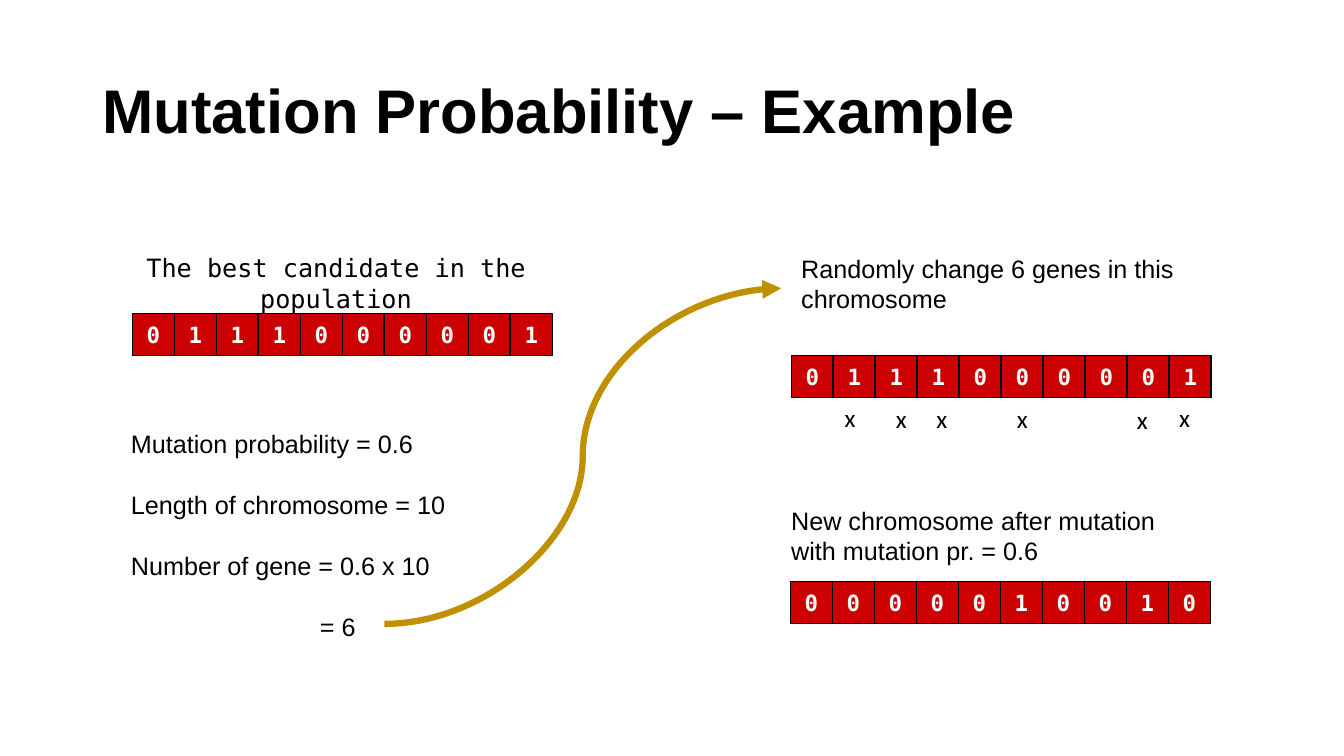
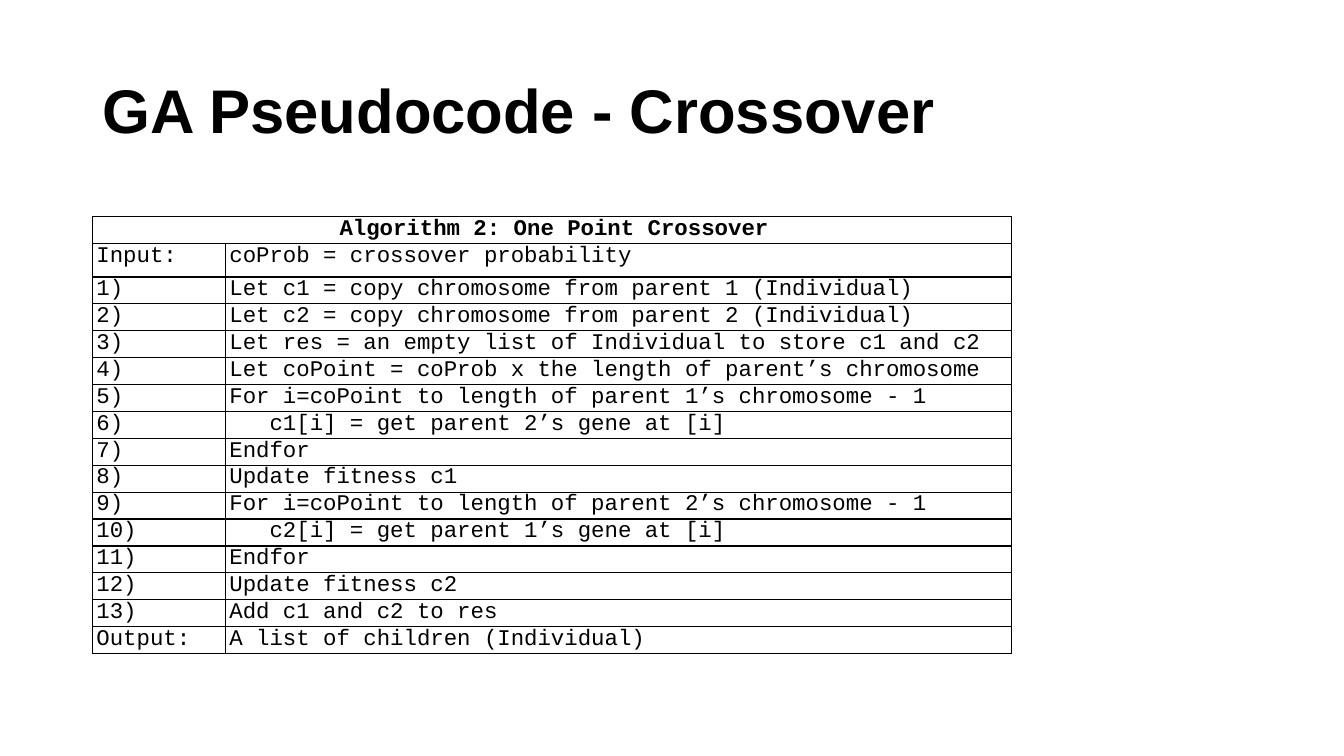
"""Build two genetic algorithm slides: a mutation example and crossover pseudocode."""
import pptx
import pptx.dml.color
import pptx.enum.shapes
import pptx.enum.text
import pptx.oxml
import pptx.oxml.ns
import pptx.util

Pt = pptx.util.Pt
ALIGN = pptx.enum.text.PP_ALIGN
ANCHOR = pptx.enum.text.MSO_ANCHOR
BLACK, WHITE, RED, GOLD = "000000", "FFFFFF", "CC0000", "BF9000"
SANS, MONO, CODE, LABEL = "Arial", "DejaVu Sans Mono", "Courier New", "Calibri"
BODY_LINE = Pt(21.7)


def color(hex_value):
    return pptx.dml.color.RGBColor.from_string(hex_value)


def write(text_frame, text, font, size, hex_value=BLACK, bold=False,
          align=ALIGN.LEFT, spacing=None):
    text_frame.text = text
    for paragraph in text_frame.paragraphs:
        paragraph.alignment = align
        paragraph.line_spacing = spacing
        for run in paragraph.runs:
            run.font.name = font
            run.font.size = Pt(size)
            run.font.bold = bold
            run.font.color.rgb = color(hex_value)


presentation = pptx.Presentation()
presentation.slide_width = Pt(960)
presentation.slide_height = Pt(540)

slides = []
for title in ["Mutation Probability – Example", "GA Pseudocode - Crossover"]:
    slide = presentation.slides.add_slide(presentation.slide_layouts[6])
    title_box = slide.shapes.add_textbox(Pt(66), Pt(28.8), Pt(828), Pt(104.4))
    title_box.text_frame.word_wrap = True
    title_box.text_frame.vertical_anchor = ANCHOR.MIDDLE
    write(title_box.text_frame, title, SANS, 44, bold=True, spacing=0.9)
    slides.append(slide)
mutation_slide, crossover_slide = slides

GENE_SIZE = 30
chromosomes = [
    (94.5, 224, "0111000001"),
    (565.2, 254, "0111000001"),
    (564.6, 415.5, "0000010010"),
]
for left, top, genes in chromosomes:
    group = mutation_slide.shapes.add_group_shape()
    for index, gene in enumerate(genes):
        shape = group.shapes.add_shape(
            pptx.enum.shapes.MSO_SHAPE.RECTANGLE,
            Pt(left + index * GENE_SIZE), Pt(top), Pt(GENE_SIZE), Pt(GENE_SIZE))
        shape.shadow.inherit = False
        shape.fill.solid()
        shape.fill.fore_color.rgb = color(RED)
        shape.line.color.rgb = color(BLACK)
        shape.line.width = Pt(1)
        shape.text_frame.word_wrap = False
        shape.text_frame.vertical_anchor = ANCHOR.MIDDLE
        write(shape.text_frame, gene, MONO, 16, WHITE, True, ALIGN.CENTER)

calculation = "\n".join([
    "Mutation probability = 0.6",
    "Length of chromosome = 10",
    "Number of gene = 0.6 x 10",
    "= 6",
])
captions = [
    (40, 177, 400, 36, "The best candidate in the population", MONO, ALIGN.CENTER, None),
    (86.4, 302.4, 241, 160, calculation, SANS, ALIGN.LEFT, BODY_LINE),
    (565.2, 177, 300, 51, "Randomly change 6 genes in this chromosome", SANS, ALIGN.LEFT, BODY_LINE),
    (558, 357.2, 300, 51, "New chromosome after mutation with mutation pr. = 0.6",
     SANS, ALIGN.LEFT, BODY_LINE),
]
for left, top in [(596.2, 283.7), (632.9, 284.4), (661.7, 284.4),
                  (719.3, 284.4), (805, 285.1), (835.2, 283.7)]:
    captions.append((left, top, 22.3, 29, "x", LABEL, ALIGN.LEFT, None))

for left, top, width, height, text, font, align, spacing in captions:
    text_box = mutation_slide.shapes.add_textbox(Pt(left), Pt(top), Pt(width), Pt(height))
    text_box.text_frame.word_wrap = text != "x"
    write(text_box.text_frame, text, font, 18, align=align, spacing=spacing)
    paragraphs = text_box.text_frame.paragraphs
    for paragraph in paragraphs[1:]:
        paragraph.space_before = BODY_LINE
    if text == calculation:
        paragraphs[-1]._p.get_or_add_pPr().set("marL", str(Pt(135)))

arrow = mutation_slide.shapes.add_connector(
    pptx.enum.shapes.MSO_CONNECTOR.CURVE, Pt(274.5), Pt(445.7), Pt(558), Pt(206))
arrow.line.color.rgb = color(GOLD)
arrow.line.width = Pt(4.5)
arrow_line = arrow.line._get_or_add_ln()
arrow_line.append(pptx.oxml.parse_xml(
    f'<a:tailEnd {pptx.oxml.ns.nsdecls("a")} type="triangle"/>'))
arrow._element.spPr.append(pptx.oxml.parse_xml(
    f'<a:effectLst {pptx.oxml.ns.nsdecls("a")}/>'))

steps = [
    "Let c1 = copy chromosome from parent 1 (Individual)",
    "Let c2 = copy chromosome from parent 2 (Individual)",
    "Let res = an empty list of Individual to store c1 and c2",
    "Let coPoint = coProb x the length of parent’s chromosome",
    "For i=coPoint to length of parent 1’s chromosome - 1",
    "   c1[i] = get parent 2’s gene at [i]",
    "Endfor",
    "Update fitness c1",
    "For i=coPoint to length of parent 2’s chromosome - 1",
    "   c2[i] = get parent 1’s gene at [i]",
    "Endfor",
    "Update fitness c2",
    "Add c1 and c2 to res",
]
rows = [("Algorithm 2: One Point Crossover", ""),
        ("Input:", "coProb = crossover probability")]
rows += [(f"{number})", step) for number, step in enumerate(steps, 1)]
rows.append(("Output:", "A list of children (Individual)"))

table = crossover_slide.shapes.add_table(
    len(rows), 2, Pt(66), Pt(154.8), Pt(656.6), Pt(296.8)).table
table.first_row = False
table.horz_banding = False
table.columns[0].width = Pt(95)
table.columns[1].width = Pt(561.6)
table.cell(0, 0).merge(table.cell(0, 1))
for row_index, row in enumerate(rows):
    heading = row_index == 0
    table.rows[row_index].height = Pt(23.8 if row_index == 1 else 18.2)
    for column_index, text in enumerate(row):
        cell = table.cell(row_index, column_index)
        cell.margin_left = Pt(2.9)
        cell.margin_top = cell.margin_right = cell.margin_bottom = 0
        cell_properties = cell._tc.get_or_add_tcPr()
        for side in ["lnL", "lnR", "lnT", "lnB"]:
            cell_properties.append(pptx.oxml.parse_xml(
                f'<a:{side} {pptx.oxml.ns.nsdecls("a")} w="{Pt(1)}">'
                f'<a:solidFill><a:srgbClr val="{BLACK}"/></a:solidFill></a:{side}>'))
        cell.fill.background()
        if not cell.is_spanned:
            write(cell.text_frame, text, CODE, 16, bold=heading,
                  align=ALIGN.CENTER if heading else ALIGN.LEFT)

presentation.save("out.pptx")
